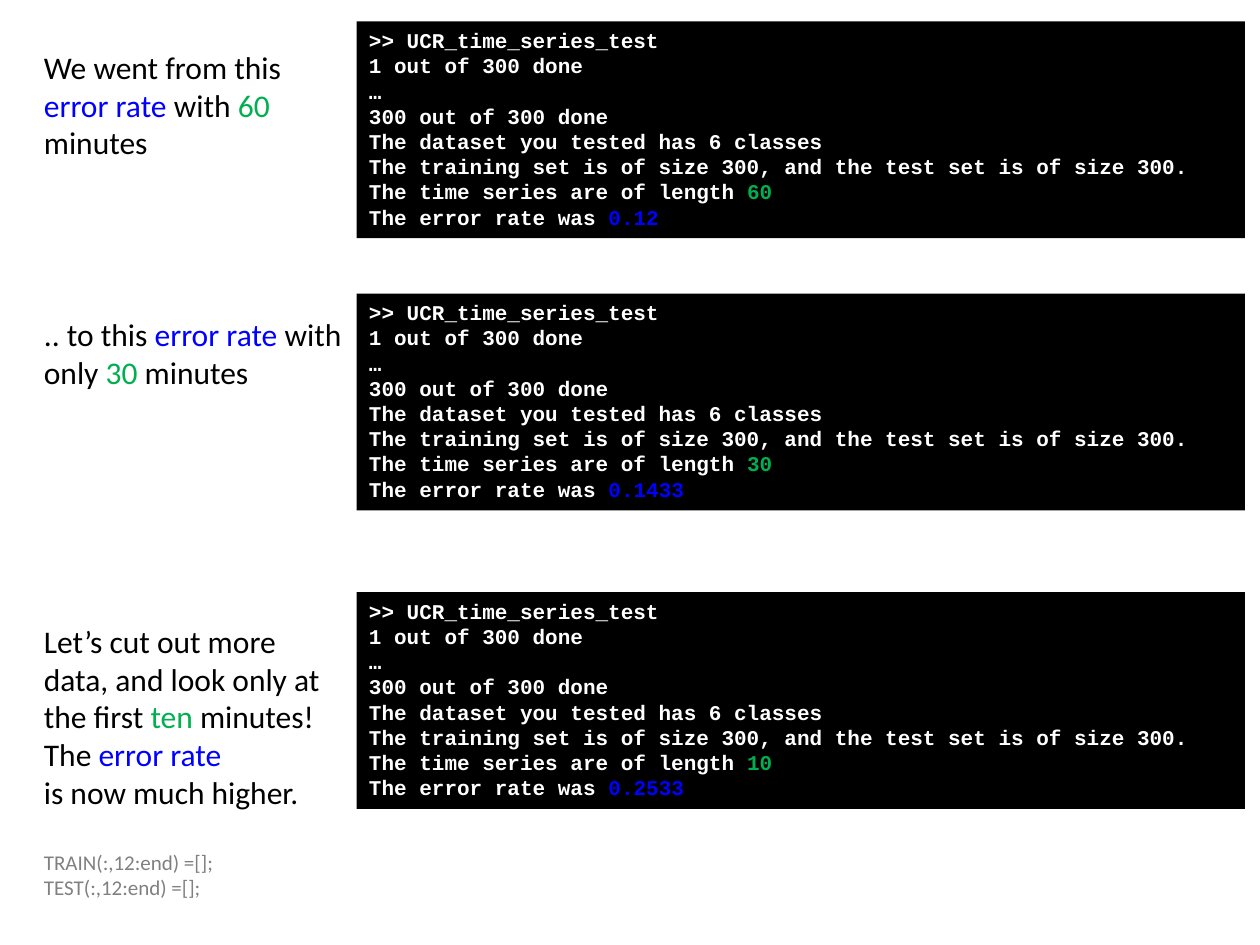
import copy

import pptx
import pptx.dml.color
import pptx.enum.shapes
import pptx.enum.text
import pptx.util
from pptx.util import Inches

BLACK, WHITE, GREY = "000000", "FFFFFF", "808080"
GREEN, BLUE = "00B050", "0000FF"


def color(value):
    """Return the colour for a hex string."""
    return pptx.dml.color.RGBColor.from_string(value)


class ErrorRateSlide:
    """Hold the style and the current slide."""

    prose_font, console_font = "Calibri", "Courier New"
    prose_size, code_size = 18, 12
    prose_line = 22

    def __init__(self, slide):
        """Keep the slide to draw on."""
        self.slide = slide

    def add_runs(self, paragraph, runs, font, size, bold=False):
        """Add runs of text and colour, turning newlines into line breaks."""
        for text, hue in runs:
            for index, line in enumerate(text.split("\n")):
                if index:
                    paragraph.add_line_break()
                    paragraph._p[-1].append(copy.deepcopy(run._r.rPr))
                if line:
                    run = paragraph.add_run()
                    run.text = line
                    run.font.name = font
                    run.font.size = pptx.util.Pt(size)
                    run.font.bold = bold
                    run.font.color.rgb = color(hue)

    def add_console(self, top, length, error_rate):
        """Draw one black console with the results of a test run."""
        console = self.slide.shapes.add_shape(
            pptx.enum.shapes.MSO_SHAPE.RECTANGLE,
            Inches(2.83), Inches(top), Inches(7.05), Inches(1.72))
        console.shadow.inherit = False
        console.fill.solid()
        console.fill.fore_color.rgb = color(BLACK)
        console.line.fill.background()
        frame = console.text_frame
        frame.word_wrap = True
        frame.vertical_anchor = pptx.enum.text.MSO_ANCHOR.TOP
        command = [(">> UCR_time_series_test", WHITE)]
        report = [
            ("1 out of 300 done\n…\n300 out of 300 done\n"
             "The dataset you tested has 6 classes\n"
             "The training set is of size 300, and the test set is of size 300.\n"
             "The time series are of length ", WHITE),
            (f"{length}\n", GREEN),
            ("The error rate was ", WHITE),
            (error_rate, BLUE),
        ]
        for paragraph, runs in ((frame.paragraphs[0], command),
                                (frame.add_paragraph(), report)):
            paragraph.alignment = pptx.enum.text.PP_ALIGN.LEFT
            self.add_runs(paragraph, runs, self.console_font, self.code_size, True)

    def add_commentary(self, passages):
        """Write the left column from lines skipped, text size and runs."""
        commentary = self.slide.shapes.add_textbox(
            Inches(0.25), Inches(0.33), Inches(2.58), Inches(7.17))
        frame = commentary.text_frame
        frame.word_wrap = True
        for index, (skipped, size, runs) in enumerate(passages):
            paragraph = frame.add_paragraph() if index else frame.paragraphs[0]
            paragraph.space_before = pptx.util.Pt(skipped * self.prose_line)
            self.add_runs(paragraph, runs, self.prose_font, size)


def main():
    """Build and save the slide."""
    deck = pptx.Presentation()
    deck.slide_width, deck.slide_height = Inches(10), Inches(7.5)
    page = ErrorRateSlide(deck.slides.add_slide(deck.slide_layouts[6]))

    for top, length, error_rate in ((0.17, 60, "0.12"),
                                    (2.33, 30, "0.1433"),
                                    (4.7, 10, "0.2533")):
        page.add_console(top, length, error_rate)

    prose, code = page.prose_size, page.code_size
    page.add_commentary([
        (0, prose, [("We went from this ", BLACK), ("error rate ", BLUE),
                    ("with ", BLACK), ("60", GREEN), (" minutes", BLACK)]),
        (4, prose, [(".. to this ", BLACK), ("error rate ", BLUE),
                    ("with only ", BLACK), ("30", GREEN), (" minutes", BLACK)]),
        (6, prose, [("Let’s cut out more data, and look only at the first ", BLACK),
                    ("ten", GREEN), (" minutes!", BLACK)]),
        (0, prose, [("The ", BLACK), ("error rate", BLUE)]),
        (0, prose, [("is now much higher.", BLACK)]),
        (1, code, [("TRAIN(:,12:end) =[];", GREY)]),
        (0, code, [("TEST(:,12:end) =[];", GREY)]),
    ])
    deck.save("out.pptx")


if __name__ == "__main__":
    main()
